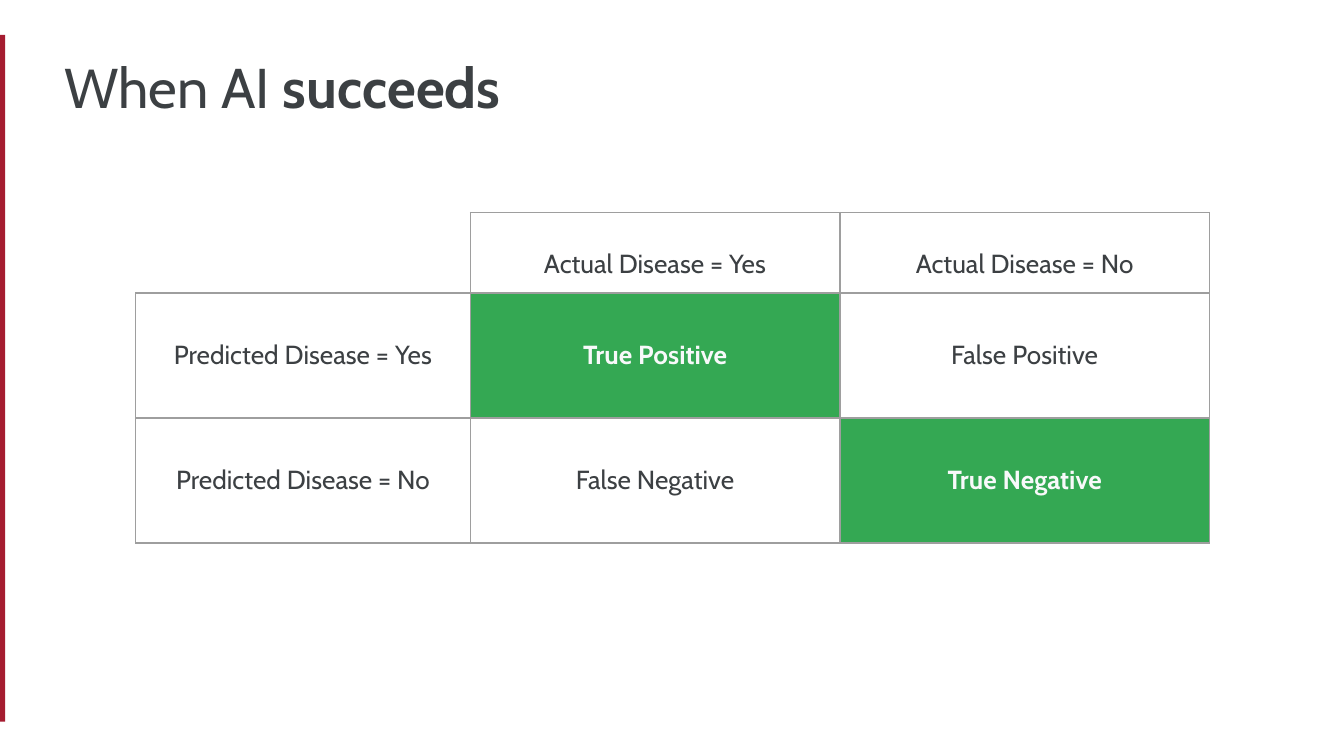
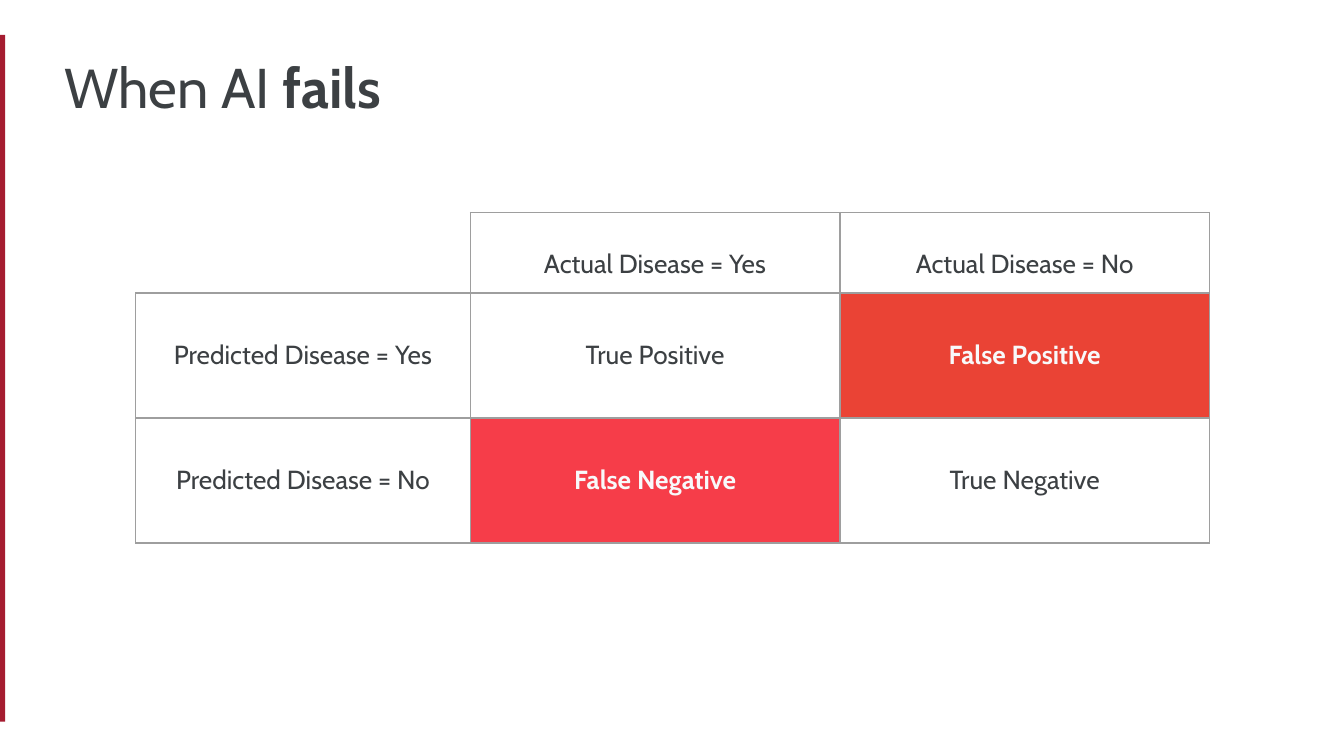
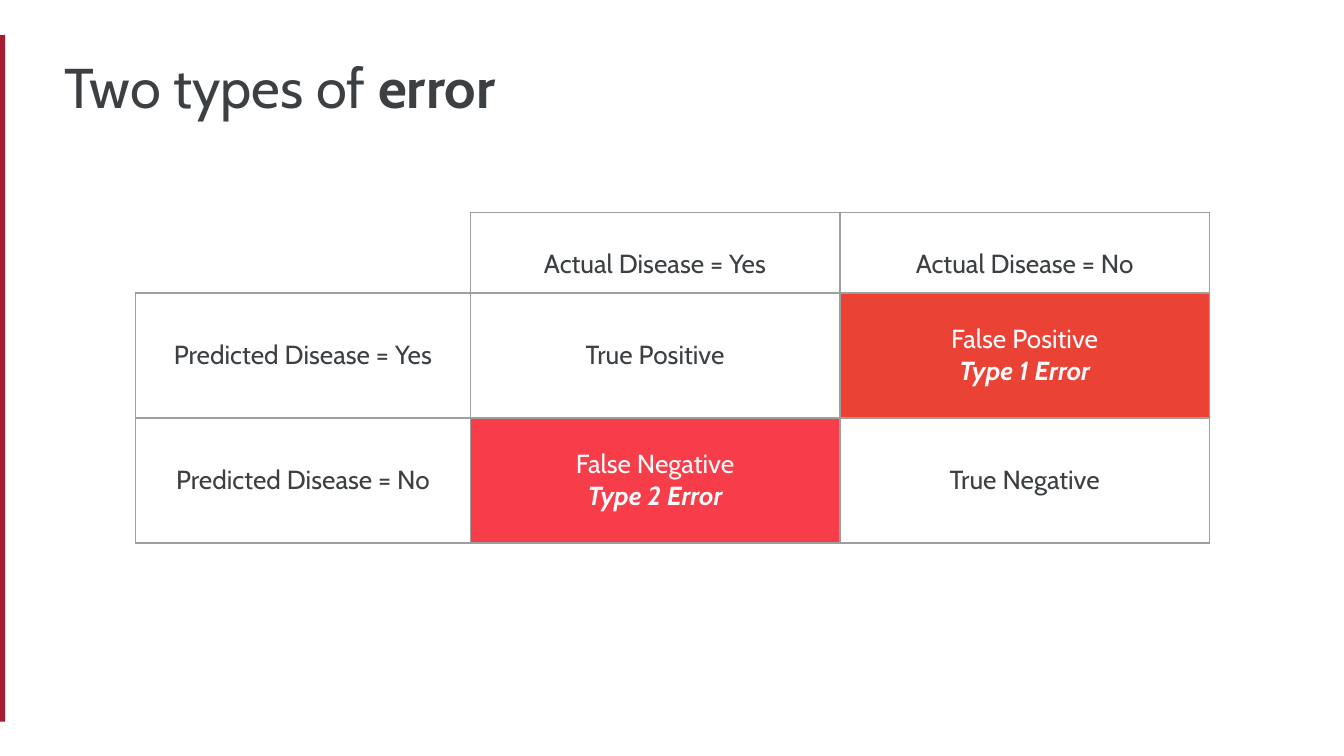
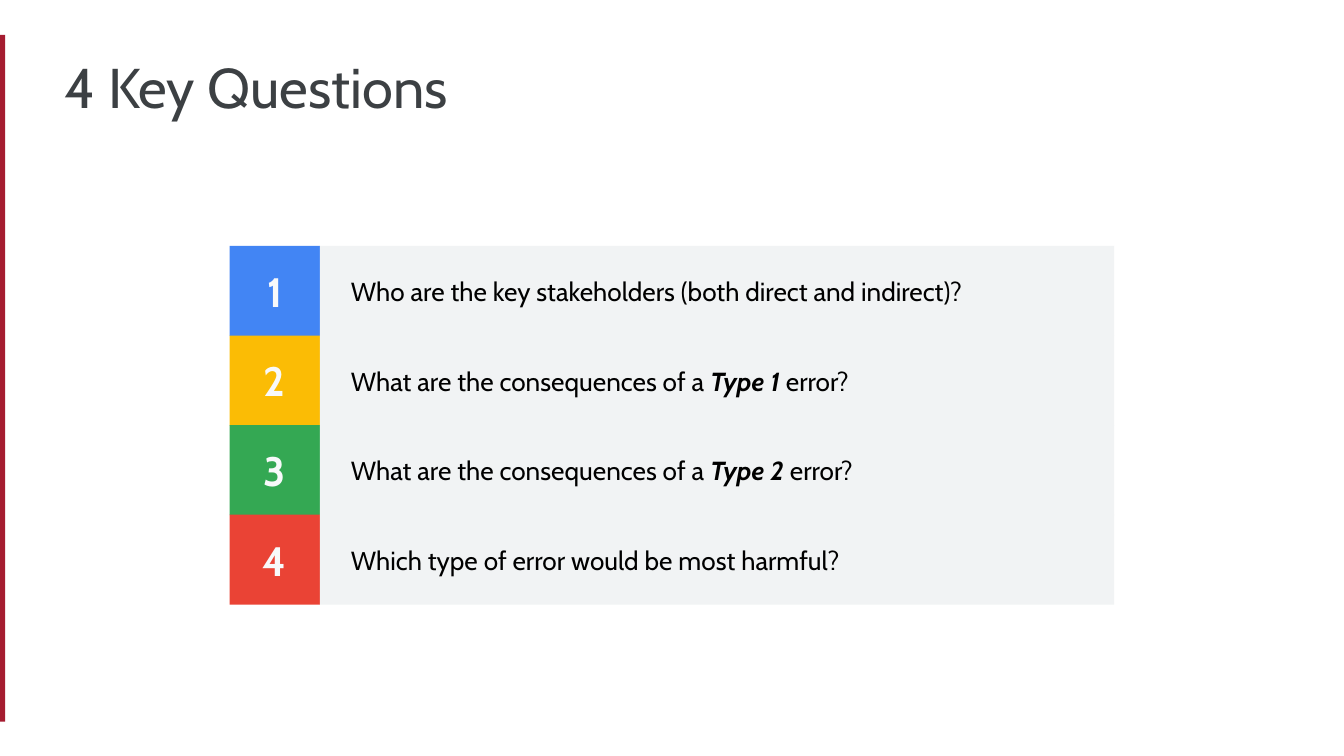
from dataclasses import dataclass

from lxml import etree
from pptx import Presentation
from pptx import util as u
from pptx.dml.color import RGBColor
from pptx.enum import shapes, text
from pptx.oxml.ns import qn


@dataclass(frozen=True)
class Theme:
    font: str = "Cabin"
    ink: str = "3C4043"
    black: str = "000000"
    light: str = "F8F9FA"
    panel: str = "F1F3F4"
    crimson: str = "A51C30"
    blue: str = "4285F4"
    yellow: str = "FBBC05"
    green: str = "34A853"
    red: str = "EA4335"
    pink: str = "F63D49"
    border: str = "9E9E9E"
    title: int = 30
    number: int = 22
    body: int = 14
    inset: float = 0.1


T = Theme()
CENTER = text.PP_ALIGN.CENTER
LEFT = text.PP_ALIGN.LEFT
MIDDLE = text.MSO_ANCHOR.MIDDLE


def write(tf, lines, size, color, align=LEFT):
    """Fill a text frame; each line is a list of (words, style), style holding b and/or i."""
    for i, line in enumerate(lines):
        p = tf.paragraphs[0] if i == 0 else tf.add_paragraph()
        p.alignment = align
        for words, style in line:
            r = p.add_run()
            r.text = words
            r.font.name = T.font
            r.font.size = u.Pt(size)
            r.font.bold = "b" in style
            r.font.italic = "i" in style
            r.font.color.rgb = RGBColor.from_string(color)


def add_box(s, x, y, w, h, fill, left_inset=T.inset):
    """Add a plain filled rectangle and return its text frame."""
    sp = s.shapes.add_shape(shapes.MSO_SHAPE.RECTANGLE,
                            u.Inches(x), u.Inches(y), u.Inches(w), u.Inches(h))
    sp.shadow.inherit = False
    sp.fill.solid()
    sp.fill.fore_color.rgb = RGBColor.from_string(fill)
    sp.line.fill.background()
    tf = sp.text_frame
    tf.word_wrap = True
    tf.vertical_anchor = MIDDLE
    tf.margin_left = u.Inches(left_inset)
    tf.margin_right = tf.margin_top = tf.margin_bottom = u.Inches(T.inset)
    return tf


# Widescreen, 16:9
prs = Presentation()
prs.slide_width = u.Inches(10)
prs.slide_height = u.Inches(10 * 9 / 16)

# Side band and title of every slide
titles = [
    [("When AI ", ""), ("succeeds", "b")],
    [("When AI ", ""), ("fails", "b")],
    [("Two types of ", ""), ("error", "b")],
    [("4 Key Questions", "")],
]
slides = []
for title in titles:
    s = prs.slides.add_slide(prs.slide_layouts[6])
    add_box(s, -0.02, 0.26, 0.06, 5.11, T.crimson)
    sp = s.shapes.add_textbox(u.Inches(0.38), u.Inches(0.29), u.Inches(8.53), u.Inches(0.6))
    tf = sp.text_frame
    tf.word_wrap = True
    tf.margin_left = tf.margin_right = tf.margin_top = tf.margin_bottom = u.Inches(T.inset)
    write(tf, [title], T.title, T.ink)
    slides.append(s)

# Confusion matrix: shared wording, then the highlighted cells of each slide
labels = [
    ["", "Actual Disease = Yes", "Actual Disease = No"],
    ["Predicted Disease = Yes", "True Positive", "False Positive"],
    ["Predicted Disease = No", "False Negative", "True Negative"],
]
col_widths = [2.49, 2.75, 2.75]
row_heights = [0.6, 0.93, 0.93]

# (row, column): (fill, style of the label, second line)
highlights = [
    {(1, 1): (T.green, "b", ""), (2, 2): (T.green, "b", "")},
    {(1, 2): (T.red, "b", ""), (2, 1): (T.pink, "b", "")},
    {(1, 2): (T.red, "", "Type 1 Error"), (2, 1): (T.pink, "", "Type 2 Error")},
]

for s, marked in zip(slides, highlights):
    table = s.shapes.add_table(3, 3, u.Inches(1.01), u.Inches(1.58),
                               u.Inches(sum(col_widths)), u.Inches(sum(row_heights))).table
    table.first_row = table.horz_banding = False
    for col, width in zip(table.columns, col_widths):
        col.width = u.Inches(width)
    for row, height in zip(table.rows, row_heights):
        row.height = u.Inches(height)

    for i, row_labels in enumerate(labels):
        for j, label in enumerate(row_labels):
            cell = table.cell(i, j)
            cell.margin_left = cell.margin_right = u.Inches(T.inset)
            cell.margin_top = cell.margin_bottom = u.Inches(T.inset)
            cell.vertical_anchor = text.MSO_ANCHOR.BOTTOM if i == 0 else MIDDLE

            # Borders; the empty corner has no outer edges
            tc_pr = cell._tc.get_or_add_tcPr()
            for edge in ("lnL", "lnR", "lnT", "lnB"):
                ln = etree.SubElement(tc_pr, qn("a:" + edge), w=str(u.Pt(0.75)))
                if (i, j) == (0, 0) and edge in ("lnL", "lnT"):
                    etree.SubElement(ln, qn("a:noFill"))
                else:
                    solid = etree.SubElement(ln, qn("a:solidFill"))
                    etree.SubElement(solid, qn("a:srgbClr"), val=T.border)

            # Fill and wording
            fill, style, second = marked.get((i, j), (None, "", ""))
            if fill:
                cell.fill.solid()
                cell.fill.fore_color.rgb = RGBColor.from_string(fill)
            else:
                cell.fill.background()
            if label:
                lines = [[(label, style)]]
                if second:
                    lines.append([(second, "bi")])
                write(cell.text_frame, lines, T.body, T.light if fill else T.ink, CENTER)

# Key questions: numbered squares with a panel beside each
questions = [
    (T.blue, [("Who are the key stakeholders (both direct and indirect)?", "")]),
    (T.yellow, [("What are the consequences of a ", ""), ("Type 1", "bi"), (" error?", "")]),
    (T.green, [("What are the consequences of a ", ""), ("Type 2", "bi"), (" error?", "")]),
    (T.red, [("Which type of error would be most harmful?", "")]),
]
left, top, side = 1.71, 1.83, 0.67
pitch = 2 / 3
for i, (color, question) in enumerate(questions):
    y = top + i * pitch
    tf = add_box(slides[3], left, y, side, side, color)
    write(tf, [[(str(i + 1), "b")]], T.number, T.light, CENTER)
    tf = add_box(slides[3], left + side, y, 5.91, side, T.panel, left_inset=0.23)
    write(tf, [question], T.body, T.black)

prs.save("out.pptx")
